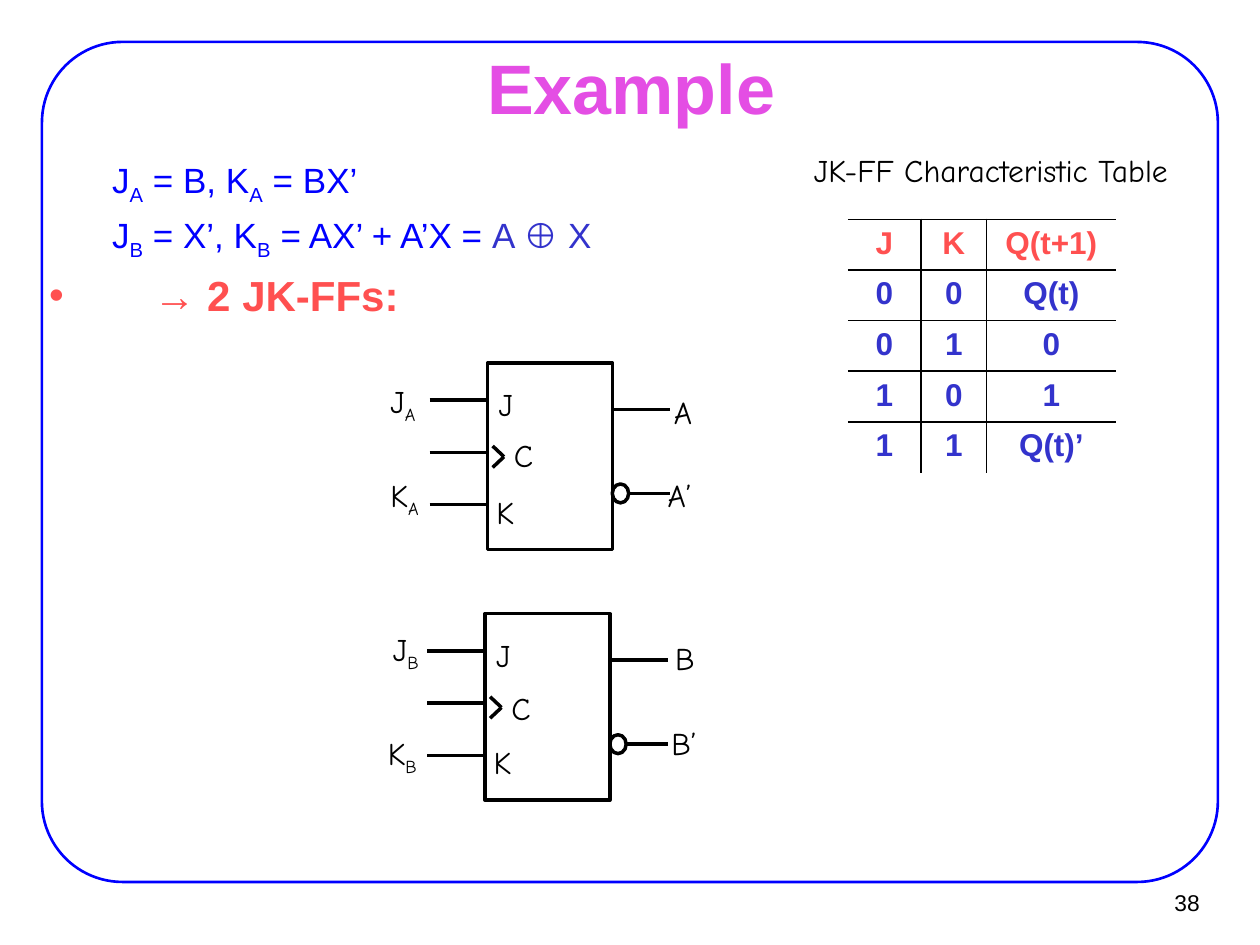
import pptx
import pptx.dml.color
import pptx.enum.shapes
import pptx.enum.text
import pptx.oxml.ns
import pptx.util
from lxml import etree

COLORS = {"black": "000000", "blue": "0000FF", "indigo": "3333CC",
          "coral": "FF5050", "pink": "E44EE4"}
SANS, HAND = "Arial", "Comic Neue"
COLS, ROWS = 100, 75
ALIGN = pptx.enum.text.PP_ALIGN
SHAPE = pptx.enum.shapes.MSO_SHAPE
MIDDLE = pptx.enum.text.MSO_ANCHOR.MIDDLE

prs = pptx.Presentation()
prs.slide_width = pptx.util.Inches(10)
prs.slide_height = pptx.util.Inches(7.5)


def grid(*values):
    """Turn x, y, x, y ... counted in grid columns and rows into lengths."""
    units = (prs.slide_width / COLS, prs.slide_height / ROWS)
    return [pptx.util.Emu(round(v * units[i % 2])) for i, v in enumerate(values)]


def rgb(name):
    return pptx.dml.color.RGBColor.from_string(COLORS[name])


def sub_element(parent, tag, **attributes):
    return etree.SubElement(parent, pptx.oxml.ns.qn(tag), attributes)


def style_run(r, size, color, font=SANS, bold=False):
    r.font.size = pptx.util.Pt(size)
    r.font.name = font
    r.font.bold = bold
    r.font.color.rgb = rgb(color)


def add_runs(p, text, size, color, font=SANS, bold=False):
    """Add text in which every second part between bars is a subscript."""
    for i, part in enumerate(text.split("|")):
        if part:
            r = p.add_run()
            r.text = part
            style_run(r, size, color, font, bold)
            if i % 2:
                r.font._element.set("baseline", "-25000")


def add_text(s, box, text, size, color="black", font=HAND, bold=False,
             align=ALIGN.LEFT, wrap=False, anchor=None):
    tf = s.shapes.add_textbox(*grid(*box)).text_frame
    tf.word_wrap = wrap
    if anchor is not None:
        tf.vertical_anchor = anchor
    p = tf.paragraphs[0]
    p.alignment = align
    add_runs(p, text, size, color, font, bold)


def add_outline(s, kind, box, color="black", width=2):
    sp = s.shapes.add_shape(kind, *grid(*box))
    sp.shadow.inherit = False
    sp.fill.background()
    sp.line.color.rgb = rgb(color)
    sp.line.width = pptx.util.Pt(width)
    return sp


def add_line(s, *ends):
    line = s.shapes.add_connector(pptx.enum.shapes.MSO_CONNECTOR.STRAIGHT, *grid(*ends))
    line.line.color.rgb = rgb("black")
    line.line.width = pptx.util.Pt(2)
    sub_element(line._element.spPr, "a:effectLst")


def add_equations(s, box):
    tf = s.shapes.add_textbox(*grid(*box)).text_frame
    tf.word_wrap = True
    tf.margin_left = tf.margin_right = pptx.util.Inches(0.11)
    tf.margin_top = tf.margin_bottom = pptx.util.Inches(0.06)
    lines = [
        (0.81, -0.31, 20, [("J|A| = B, K|A| = BX’", "blue")]),
        (0.81, -0.31, 20, [("J|B| = X’, K|B| = AX’ + A’X = ", "blue"), ("A ⊕ X", "indigo")]),
        (0.83, -0.83, 24, [("→ 2 JK-FFs:", "coral")]),
    ]
    for i, (margin, indent, size, parts) in enumerate(lines):
        p = tf.add_paragraph() if i else tf.paragraphs[0]
        if i:
            p.space_before = pptx.util.Pt(size / 5)
        is_result = i == len(lines) - 1
        pPr = p._p.get_or_add_pPr()
        pPr.set("marL", str(pptx.util.Inches(margin)))
        pPr.set("indent", str(pptx.util.Inches(indent)))
        if is_result:
            sub_element(pPr, "a:buFont", typeface=SANS)
            sub_element(pPr, "a:buChar", char="•")
        else:
            sub_element(pPr, "a:buNone")
        for text, color in parts:
            add_runs(p, text, size, color, bold=is_result)


def add_flip_flop(s, box, clock_drop, labels):
    """Draw a JK flip-flop; label places are offsets from the box's corner."""
    left, top, width, height = box
    right, wire = left + width, 4.6
    add_outline(s, SHAPE.RECTANGLE, box)
    for share in (0.2, 0.48, 0.76):
        y = top + share * height
        add_line(s, left - wire, y, left, y)

    bubble_w, bubble_h = 1.3, 1.5
    q, q_bar = top + 0.25 * height, top + 0.7 * height
    add_line(s, right, q, right + wire, q)
    add_outline(s, SHAPE.OVAL, (right, q_bar - bubble_h / 2, bubble_w, bubble_h))
    add_line(s, right + bubble_w, q_bar, right + wire, q_bar)

    tip_x, tip_y = left + 1.3, top + 7.45
    for dy in (-0.85, 0.85):
        add_line(s, tip_x - 0.9, tip_y + dy, tip_x, tip_y)

    pins = [("J", -0.1, 1.3, 3.7), ("C", 1.1, clock_drop, 3.5), ("K", -0.3, 9.8, 3.5)]
    for text, dx, dy, label_w in pins + labels:
        add_text(s, (left + dx, top + dy, label_w, 4.5), text, 18)


def set_border(cell, side, shown):
    tcPr = cell._tc.get_or_add_tcPr()
    ln = sub_element(tcPr, f"a:ln{side}", w=str(pptx.util.Pt(1)))
    if shown:
        sub_element(sub_element(ln, "a:solidFill"), "a:srgbClr", val=COLORS["black"])
    else:
        sub_element(ln, "a:noFill")


def add_characteristic_table(s, box, widths):
    rows = [("J", "K", "Q(t+1)"), ("0", "0", "Q(t)"), ("0", "1", "0"),
            ("1", "0", "1"), ("1", "1", "Q(t)’")]
    frame = s.shapes.add_table(len(rows), len(widths), *grid(*box))
    table = frame.table
    table.first_row = table.horz_banding = False
    for column, width in zip(table.columns, widths):
        column.width = grid(width)[0]
    last_row, last_col = len(rows) - 1, len(widths) - 1
    for i, values in enumerate(rows):
        for j, value in enumerate(values):
            cell = table.cell(i, j)
            cell.text_frame.text = value
            p = cell.text_frame.paragraphs[0]
            p.alignment = ALIGN.CENTER
            style_run(p.runs[0], 18, "indigo" if i else "coral", bold=True)
            borders = {"L": j > 0, "R": j < last_col, "T": True, "B": i < last_row}
            for side, shown in borders.items():
                set_border(cell, side, shown)
            cell.fill.background()


def build_slide():
    s = prs.slides.add_slide(prs.slide_layouts[6])
    frame = add_outline(s, SHAPE.ROUNDED_RECTANGLE, (3.33, 3.33, 93.33, 66.67), "blue", 1.5)
    frame.adjustments[0] = 0.096
    add_text(s, (7.6, 4.4, 85, 4.9), "Example", 40, "pink", SANS, True,
             ALIGN.CENTER, True, MIDDLE)
    add_equations(s, (2.8, 12, 61.4, 18.4))
    add_flip_flop(s, (38.7, 28.8, 9.9, 14.8), 5.3, [
        ("J|A", -8.7, 1, 4.9), ("K|A", -8.7, 8.5, 4.8),
        ("A", 13.8, 1.9, 3.8), ("A’", 13.3, 8.5, 4.3)])
    add_flip_flop(s, (38.5, 48.7, 9.9, 14.8), 5.5, [
        ("J|B", -8.3, 0.8, 4.7), ("K|B", -8.7, 9.1, 4.6),
        ("B", 14.1, 1.5, 3.6), ("B’", 13.8, 8.3, 4)])
    add_text(s, (61.6, 11.5, 34.1, 4), "JK-FF Characteristic Table", 18, align=ALIGN.CENTER)
    add_characteristic_table(s, (67.3, 17.4, 21.3, 20.1), (5.8, 5.2, 10.3))
    add_text(s, (90.1, 69.8, 6.1, 3.7), "38", 13, font=SANS, align=ALIGN.RIGHT, anchor=MIDDLE)


if __name__ == "__main__":
    build_slide()
    prs.save("out.pptx")
